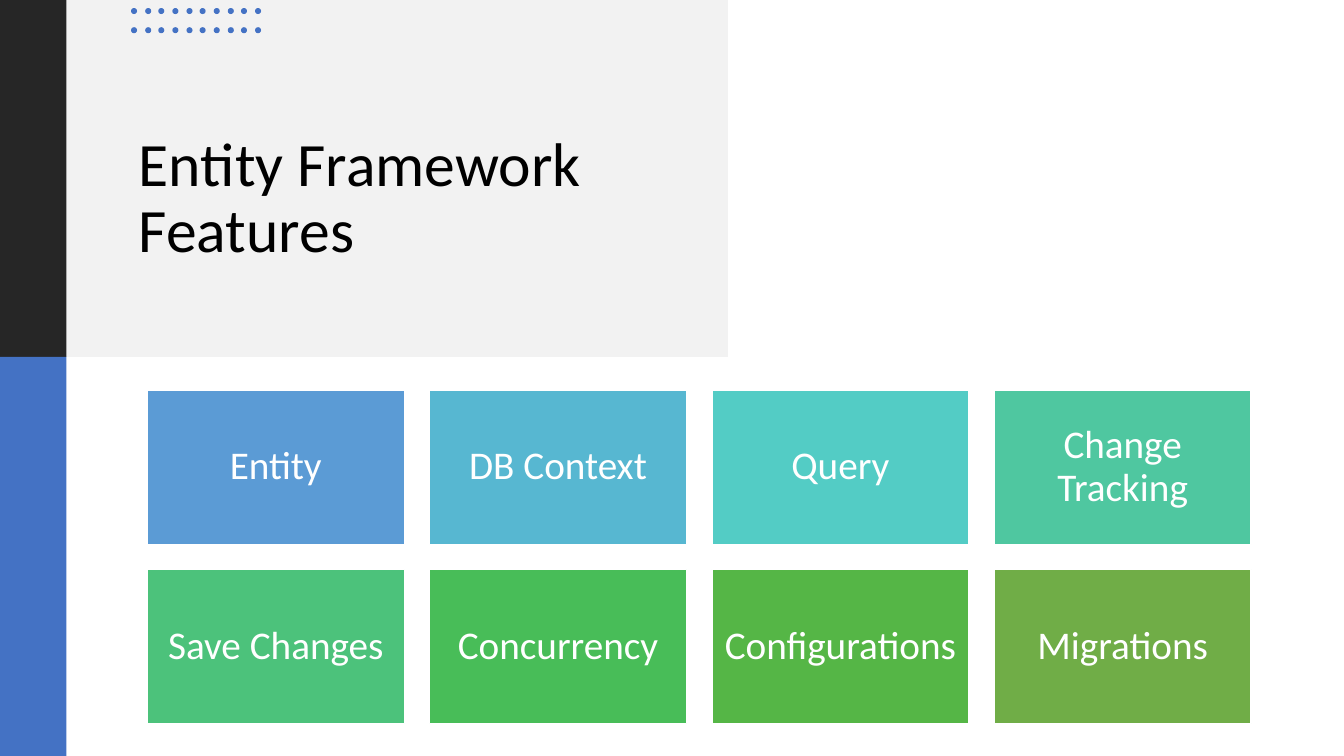
"""Build the Entity Framework features slide."""
from dataclasses import dataclass
from itertools import product

from pptx import Presentation
from pptx.dml.color import RGBColor
from pptx.enum.shapes import MSO_SHAPE as Preset
from pptx.enum.text import MSO_ANCHOR as Anchor, PP_ALIGN as Align
from pptx.shapes.autoshape import Shape
from pptx.slide import Slide
from pptx.util import Emu, Pt

EMU_PER_PX = 9144


@dataclass(frozen=True)
class Theme:
    font: str = "Calibri"
    title_size: int = 44
    tile_size: int = 28
    line_spacing: float = 0.9
    panel: str = "F2F2F2"
    dark: str = "262626"
    accent: str = "4472C4"
    title: str = "000000"
    white: str = "FFFFFF"


@dataclass(frozen=True)
class Box:
    left: int
    top: int
    width: int
    height: int

    def emu(self) -> tuple[Emu, ...]:
        return tuple(px(side) for side in (self.left, self.top, self.width, self.height))


@dataclass(frozen=True)
class Feature:
    name: str
    color: str


THEME = Theme()
SLIDE = Box(0, 0, 1333, 750)
PANEL = Box(0, 0, 722, 354)
DARK_BAR = Box(0, 0, 66, 354)
ACCENT_BAR = Box(0, 354, 66, 396)
TITLE = Box(128, 74, 554, 248)

FIRST_DOT = Box(130, 8, 6, 6)
DOT_COLUMNS, DOT_ROWS = 10, 2
DOT_SPAN, DOT_ROW_STEP = 123, 19

FIRST_TILE = Box(146, 387, 255, 153)
TILE_COLUMNS = 4
TILE_COLUMN_STEP, TILE_ROW_STEP = 280, 178
FEATURES = (
    Feature("Entity", "5B9BD5"),
    Feature("DB Context", "57B7D1"),
    Feature("Query", "53CCC5"),
    Feature("Change Tracking", "4FC7A0"),
    Feature("Save Changes", "4CC27B"),
    Feature("Concurrency", "48BD58"),
    Feature("Configurations", "55B646"),
    Feature("Migrations", "70AD47"),
)


def px(length: int) -> Emu:
    return Emu(length * EMU_PER_PX)


def add_block(page: Slide, box: Box, color: str, *, preset: Preset = Preset.RECTANGLE,
              outline: str | None = None) -> Shape:
    block = page.shapes.add_shape(preset, *box.emu())
    block.shadow.inherit = False
    block.fill.solid()
    block.fill.fore_color.rgb = RGBColor.from_string(color)
    if outline:
        block.line.color.rgb = RGBColor.from_string(outline)
        block.line.width = Pt(1)
    else:
        block.line.fill.background()
    return block


def write_text(shape: Shape, text: str, *, size: int, color: str, align: Align,
               side_inset: int, end_inset: int) -> None:
    frame = shape.text_frame
    frame.word_wrap = True
    frame.vertical_anchor = Anchor.MIDDLE
    frame.margin_left = frame.margin_right = px(side_inset)
    frame.margin_top = frame.margin_bottom = px(end_inset)
    para = frame.paragraphs[0]
    para.alignment = align
    para.line_spacing = THEME.line_spacing
    span = para.add_run()
    span.text = text
    span.font.name = THEME.font
    span.font.size = Pt(size)
    span.font.color.rgb = RGBColor.from_string(color)


def add_title(page: Slide) -> None:
    heading = page.shapes.add_textbox(*TITLE.emu())
    write_text(heading, "Entity Framework Features", size=THEME.title_size,
               color=THEME.title, align=Align.LEFT, side_inset=10, end_inset=5)


def add_dots(page: Slide) -> None:
    for column, row in product(range(DOT_COLUMNS), range(DOT_ROWS)):
        dot = Box(FIRST_DOT.left + round(column * DOT_SPAN / (DOT_COLUMNS - 1)),
                  FIRST_DOT.top + row * DOT_ROW_STEP, FIRST_DOT.width, FIRST_DOT.height)
        add_block(page, dot, THEME.accent, preset=Preset.OVAL)


def add_features(page: Slide) -> None:
    for index, feature in enumerate(FEATURES):
        row, column = divmod(index, TILE_COLUMNS)
        box = Box(FIRST_TILE.left + column * TILE_COLUMN_STEP,
                  FIRST_TILE.top + row * TILE_ROW_STEP, FIRST_TILE.width, FIRST_TILE.height)
        tile = add_block(page, box, feature.color, outline=THEME.white)
        write_text(tile, feature.name, size=THEME.tile_size, color=THEME.white,
                   align=Align.CENTER, side_inset=12, end_inset=12)


def main() -> None:
    deck = Presentation()
    deck.slide_width, deck.slide_height = px(SLIDE.width), px(SLIDE.height)
    page = deck.slides.add_slide(deck.slide_layouts[6])
    add_block(page, PANEL, THEME.panel)
    add_title(page)
    add_block(page, DARK_BAR, THEME.dark)
    add_dots(page)
    add_block(page, ACCENT_BAR, THEME.accent)
    add_features(page)
    deck.save("out.pptx")


if __name__ == "__main__":
    main()
